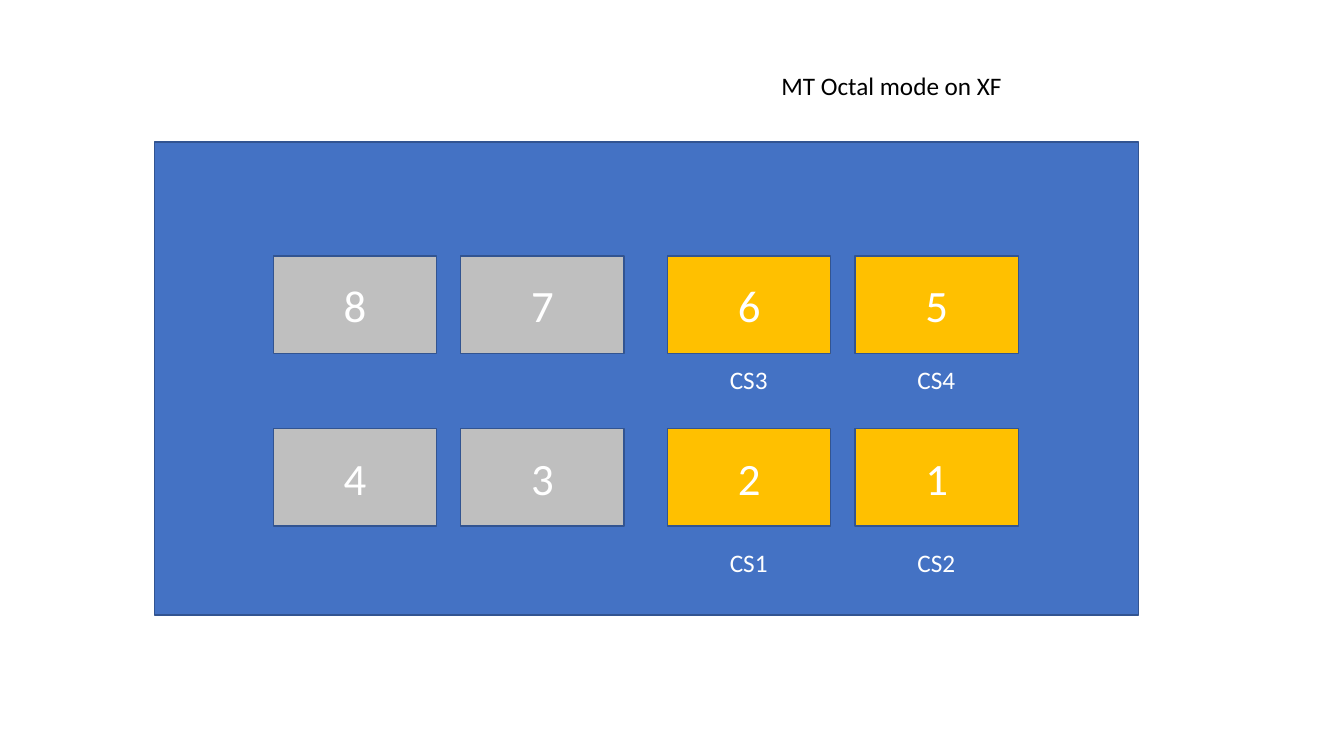
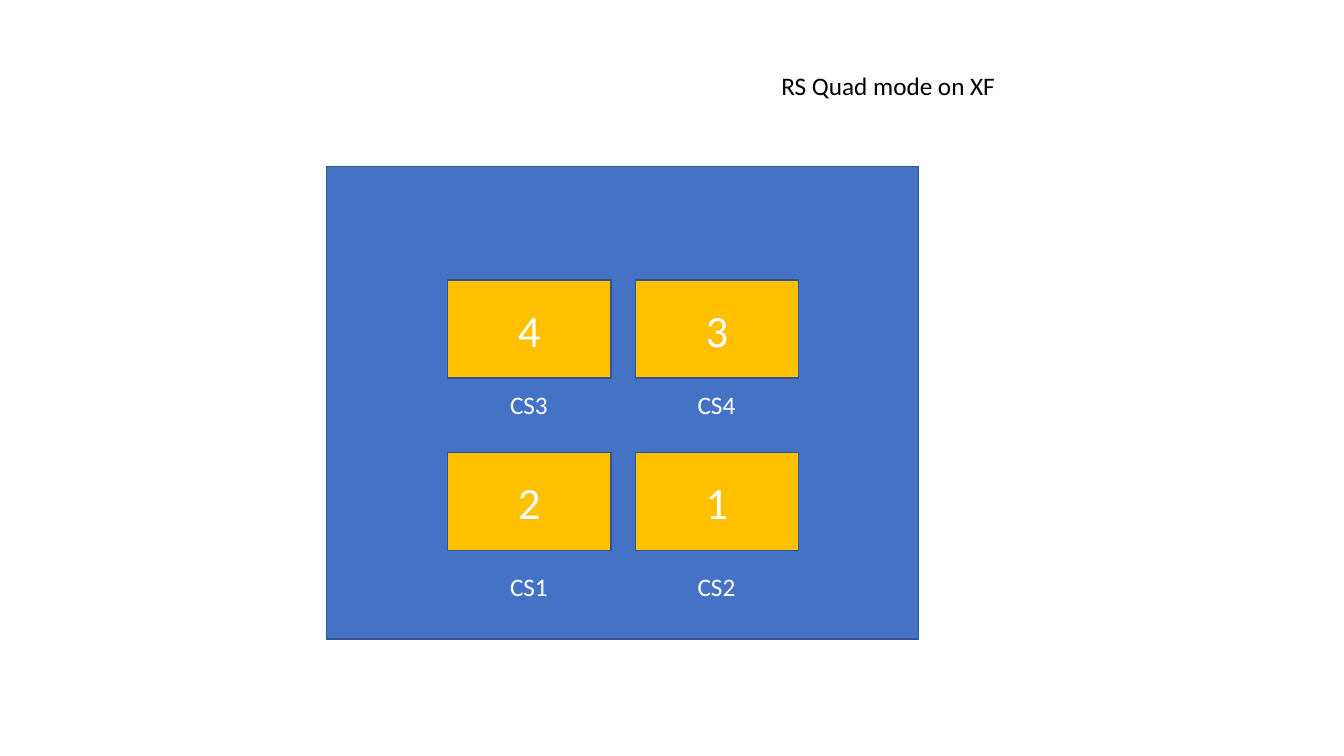
"""Build two slides showing chip layouts and their chip-select labels."""
import dataclasses

import pptx
import pptx.dml.color
import pptx.enum.shapes
import pptx.enum.text
import pptx.util

Inches = pptx.util.Inches
Pt = pptx.util.Pt
Align = pptx.enum.text.PP_ALIGN
Anchor = pptx.enum.text.MSO_ANCHOR

MODULES = [
    {
        "title": "MT Octal mode on XF",
        "title_width": 2.41,
        "panel": (1.53, 1.41, 9.76, 4.69),
        "first_chip": 2.71,
        "rows": [
            [("8", ""), ("7", ""), ("6", "CS3"), ("5", "CS4")],
            [("4", ""), ("3", ""), ("2", "CS1"), ("1", "CS2")],
        ],
    },
    {
        "title": "RS Quad mode on XF",
        "title_width": 2.35,
        "panel": (3.24, 1.65, 5.87, 4.69),
        "first_chip": 4.44,
        "rows": [
            [("4", "CS3"), ("3", "CS4")],
            [("2", "CS1"), ("1", "CS2")],
        ],
    },
]

TITLE_LEFT, TITLE_TOP = 7.65, 0.65
CHIP_W, CHIP_H = 1.62, 0.97
CHIP_PITCH, PAIR_PITCH = 1.86, 3.91
CHIP_TOPS = (1.13, 2.84)
LABEL_TOPS = (2.16, 3.97)
LABEL_W, TEXT_H = 0.58, 0.4


@dataclasses.dataclass(frozen=True)
class Theme:
    font: str = "Calibri"
    panel: str = "4472C4"
    active: str = "FFC000"
    unused: str = "BFBFBF"
    outline: str = "325491"
    light: str = "FFFFFF"
    dark: str = "000000"
    chip_size: int = 32
    text_size: int = 18
    line_width: int = 1


THEME = Theme()


def rgb(color):
    return pptx.dml.color.RGBColor.from_string(color)


def set_text(sp, text, size, color, align, anchor):
    tf = sp.text_frame
    tf.text = text
    tf.vertical_anchor = anchor
    p = tf.paragraphs[0]
    p.alignment = align
    font = p.runs[0].font
    font.name, font.size = THEME.font, Pt(size)
    font.color.rgb = rgb(color)


def set_line_text(sp, text, color):
    set_text(sp, text, THEME.text_size, color, Align.LEFT, Anchor.TOP)
    sp.text_frame.word_wrap = False
    sp.text_frame.auto_size = pptx.enum.text.MSO_AUTO_SIZE.SHAPE_TO_FIT_TEXT


def add_title(s, text, width):
    sp = s.shapes.title
    sp.left, sp.top = Inches(TITLE_LEFT), Inches(TITLE_TOP)
    sp.width, sp.height = Inches(width), Inches(TEXT_H)
    set_line_text(sp, text, THEME.dark)


def add_box(s, box, fill):
    sp = s.shapes.add_shape(
        pptx.enum.shapes.MSO_SHAPE.RECTANGLE, *map(Inches, box))
    sp.shadow.inherit = False
    sp.fill.solid()
    sp.fill.fore_color.rgb = rgb(fill)
    sp.line.color.rgb = rgb(THEME.outline)
    sp.line.width = Pt(THEME.line_width)
    return sp


def add_chip(s, number, label, left, chip_top, label_top):
    fill = THEME.active if label else THEME.unused
    sp = add_box(s, (left, chip_top, CHIP_W, CHIP_H), fill)
    set_text(sp, number, THEME.chip_size, THEME.light, Align.CENTER, Anchor.MIDDLE)
    if label:
        label_left = left + (CHIP_W - LABEL_W) / 2
        box = (label_left, label_top, LABEL_W, TEXT_H)
        set_line_text(s.shapes.add_textbox(*map(Inches, box)), label, THEME.light)


def add_module(prs, module):
    s = prs.slides.add_slide(prs.slide_layouts.get_by_name("Title Only"))
    add_title(s, module["title"], module["title_width"])
    add_box(s, module["panel"], THEME.panel)
    top = module["panel"][1]
    for row, chip_top, label_top in zip(module["rows"], CHIP_TOPS, LABEL_TOPS):
        for i, (number, label) in enumerate(row):
            pair, side = divmod(i, 2)
            left = module["first_chip"] + pair * PAIR_PITCH + side * CHIP_PITCH
            add_chip(s, number, label, left, top + chip_top, top + label_top)


prs = pptx.Presentation()
prs.slide_width, prs.slide_height = Inches(13.33), Inches(7.5)
for module in MODULES:
    add_module(prs, module)
prs.save("out.pptx")
